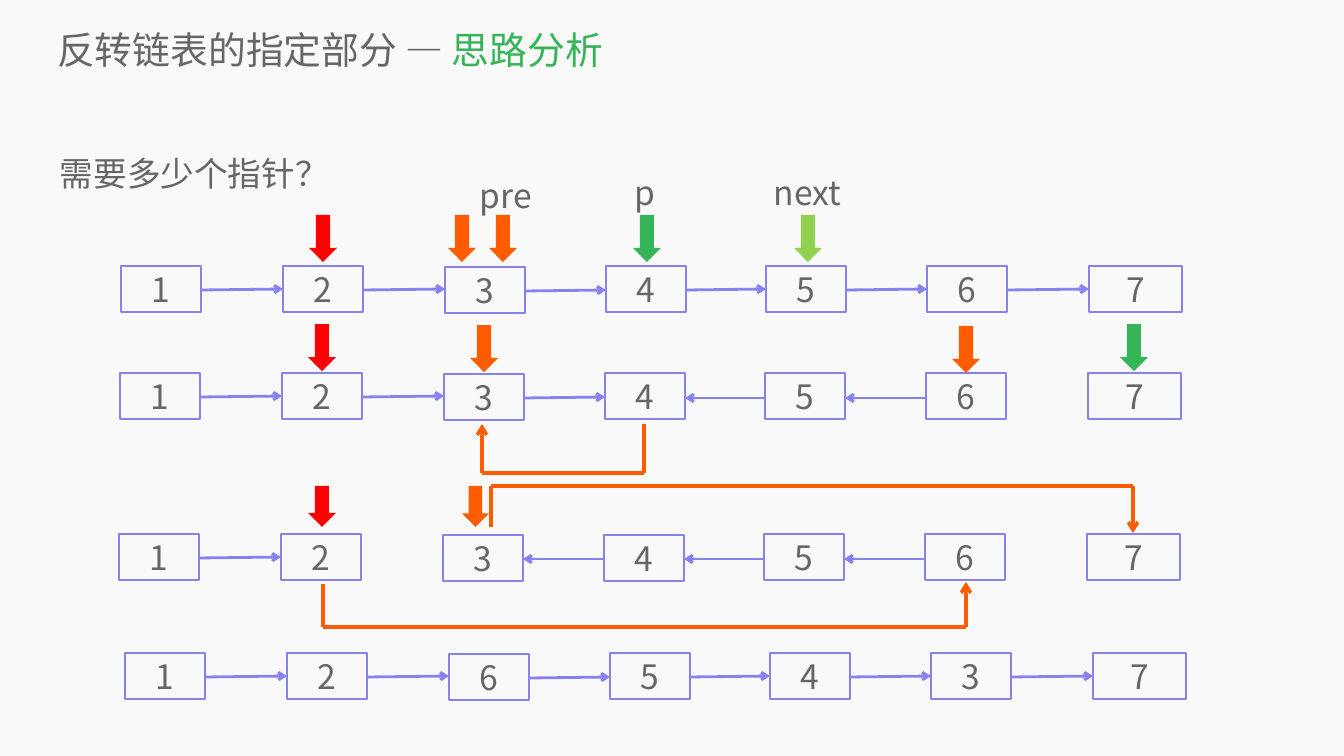
from itertools import pairwise

from lxml.etree import SubElement
from pptx import Presentation
from pptx.dml.color import RGBColor
from pptx.enum.shapes import MSO_CONNECTOR, MSO_SHAPE
from pptx.enum.text import MSO_ANCHOR, MSO_AUTO_SIZE, PP_ALIGN
from pptx.oxml.ns import qn
from pptx.util import Emu, Pt

SCALE = 914400 / 50.4
FONT = "Noto Sans CJK SC"
PAPER = RGBColor(0xF9, 0xF9, 0xF9)
GRAY = RGBColor(0x66, 0x66, 0x66)
GREEN = RGBColor(0x35, 0xB5, 0x58)
LIME = RGBColor(0x92, 0xD0, 0x50)
RED = RGBColor(0xFF, 0x00, 0x00)
ORANGE = RGBColor(0xFF, 0x5C, 0x00)
VIOLET = RGBColor(0x88, 0x81, 0xF0)

BOX_W, LAST_W, BOX_H = 80, 93, 46
STEPS = [0, 162, 324, 485, 645, 806, 968]

# left, top, node values, link directions, nodes set one pixel lower
ROWS = [
    (121, 266, "1234567", ">>>>>>", {2}),
    (120, 373, "1234567", ">>><<.", {2}),
    (119, 534, "1234567", ">.<<<.", {2, 3}),
    (125, 653, "1265437", ">>>>>>", {2}),
]

# left, top, width, height, colour
POINTERS = [
    (309, 215, 28, 47, RED),
    (448, 215, 28, 47, ORANGE),
    (489, 215, 28, 47, ORANGE),
    (633, 215, 28, 47, GREEN),
    (794, 215, 28, 47, LIME),
    (308, 324, 28, 47, RED),
    (470, 325, 28, 47, ORANGE),
    (952, 326, 28, 47, ORANGE),
    (1120, 324, 28, 47, GREEN),
    (308, 486, 28, 41, RED),
    (462, 486, 27, 41, ORANGE),
]

BENDS = [
    [(644, 424), (644, 473), (482, 473), (482, 424)],
    [(323, 584), (323, 627), (966, 627), (966, 582)],
    [(491, 527), (491, 486), (1133, 486), (1133, 533)],
]

LABELS = [("pre", 475, 172, 76), ("p", 629, 169, 37), ("next", 769, 169, 90)]


def px(*sizes):
    """Turn pixels into EMU lengths."""
    return [Emu(round(size * SCALE)) for size in sizes]


def write(shape, *parts, size=48, align=PP_ALIGN.LEFT,
          anchor=MSO_ANCHOR.MIDDLE, side=0, space=None):
    """Fill a shape with one paragraph of (text, colour) parts."""
    frame = shape.text_frame
    frame.auto_size = MSO_AUTO_SIZE.NONE
    frame.word_wrap = True
    frame.vertical_anchor = anchor
    frame.margin_top = frame.margin_bottom = 0
    frame.margin_left = frame.margin_right = px(side)[0]
    para = frame.paragraphs[0]
    para.alignment = align
    if space:
        para.line_spacing = space
    for text, color in parts:
        run = para.add_run()
        run.text = text
        run.font.name = FONT
        run.font.size = Pt(size)
        run.font.color.rgb = color
        SubElement(run.font._element, qn("a:ea"), typeface=FONT)


def box(slide, text, left, top, width):
    """Draw one list node."""
    shape = slide.shapes.add_shape(
        MSO_SHAPE.RECTANGLE, *px(left, top, width, BOX_H))
    shape.shadow.inherit = False
    shape.fill.background()
    shape.line.color.rgb = VIOLET
    shape.line.width = Pt(4)
    write(shape, (text, GRAY), align=PP_ALIGN.CENTER)


def line(slide, start, end, color=VIOLET, width=4, head=True):
    """Draw a straight line, with an open arrowhead at its end if asked."""
    link = slide.shapes.add_connector(
        MSO_CONNECTOR.STRAIGHT, *px(*start, *end))
    link.line.color.rgb = color
    link.line.width = Pt(width)
    if head:
        SubElement(link.line._get_or_add_ln(), qn("a:tailEnd"), type="arrow")
    SubElement(link._element.spPr, qn("a:effectLst"))


def chain(slide, left, top, values, links, low):
    """Draw a row of nodes and the links between neighbours."""
    spots = [(left + step, top + (i in low)) for i, step in enumerate(STEPS)]
    for i, (value, (x, y)) in enumerate(zip(values, spots)):
        box(slide, value, x, y, LAST_W if i == len(STEPS) - 1 else BOX_W)
    for way, (x, y), (goal, _) in zip(links, spots, spots[1:]):
        if way == ">":
            line(slide, (x + BOX_W, y + 24), (goal, y + 23))
        elif way == "<":
            line(slide, (goal, top + 25), (x + BOX_W, top + 25))


def bend(slide, points):
    """Draw a path of right angles that ends in an arrowhead."""
    legs = list(pairwise(points))
    for i, (start, end) in enumerate(legs):
        line(slide, start, end, ORANGE, 5, i == len(legs) - 1)


def pointer(slide, left, top, width, height, color):
    """Draw a block arrow that points down at a node."""
    shape = slide.shapes.add_shape(
        MSO_SHAPE.DOWN_ARROW, *px(left, top, width, height))
    shape.shadow.inherit = False
    shape.fill.solid()
    shape.fill.fore_color.rgb = color
    shape.line.fill.background()


def label(slide, text, left, top, width, height=BOX_H, **form):
    """Add a text box in gray."""
    write(slide.shapes.add_textbox(*px(left, top, width, height)),
          (text, GRAY), **form)


def main():
    """Build the slide and save it."""
    deck = Presentation()
    deck.slide_width, deck.slide_height = px(1344, 756)
    slide = deck.slides.add_slide(deck.slide_layouts[5])
    slide.background.fill.solid()
    slide.background.fill.fore_color.rgb = PAPER

    title = slide.shapes.title
    title.left, title.top, title.width, title.height = px(57, 24, 1268, 51)
    write(title, ("反转链表的指定部分 — ", GRAY), ("思路分析", GREEN), size=54)
    label(slide, "需要多少个指针？", 60, 137, 1224, 566,
          anchor=MSO_ANCHOR.TOP, space=1.4)

    for row in ROWS:
        chain(slide, *row)
    for points in BENDS:
        bend(slide, points)
    for spot in POINTERS:
        pointer(slide, *spot)
    for spot in LABELS:
        label(slide, *spot, side=5)
    deck.save("out.pptx")


main()
